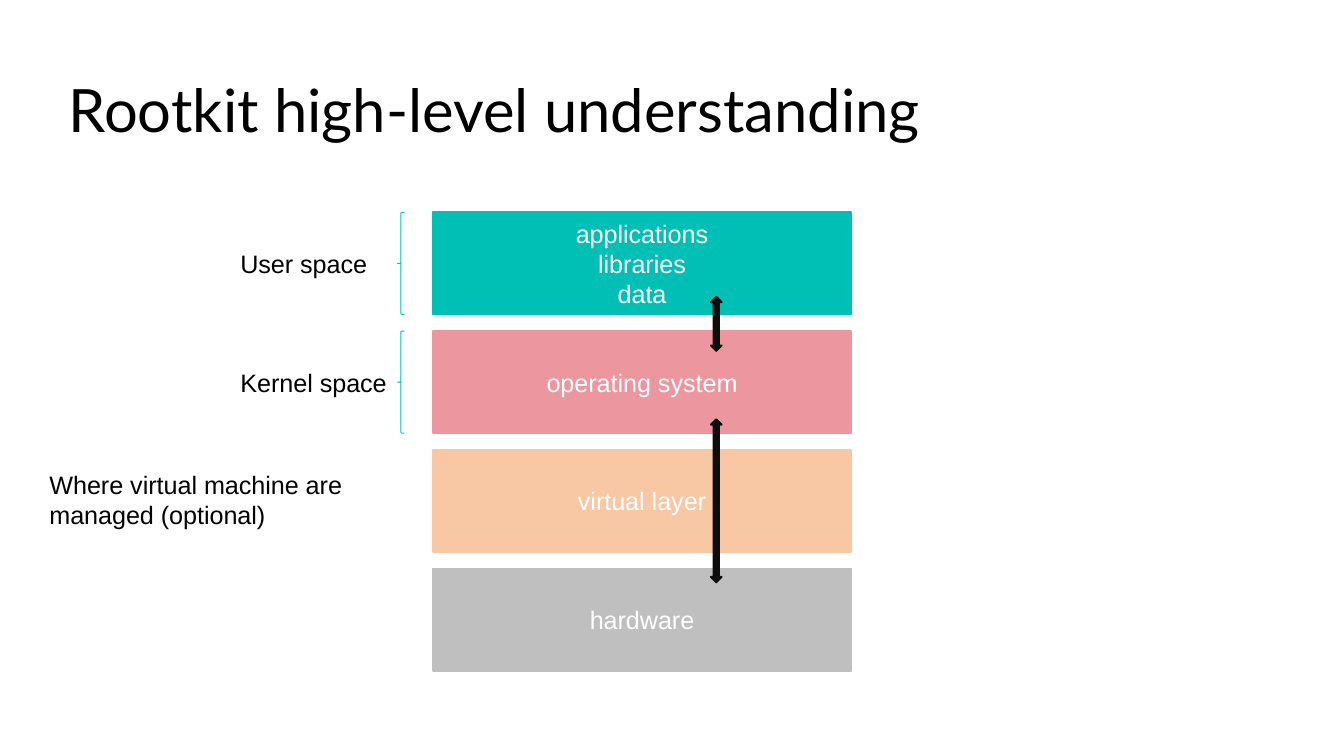
from pptx import Presentation
from pptx.dml.color import RGBColor
from pptx.enum.shapes import MSO_SHAPE
from pptx.enum.text import MSO_ANCHOR, MSO_AUTO_SIZE, PP_ALIGN
from pptx.util import Pt

TEAL, PINK, PEACH, GRAY = "00C0B5", "EC979F", "F8C7A3", "BFBFBF"
BLACK, NEAR_BLACK, WHITE = "000000", "0D0D0D", "FFFFFF"


def color(hex_string):
    return RGBColor.from_string(hex_string)


def write(frame, text, size=13.5, font="Arial", fill=BLACK, align=PP_ALIGN.LEFT,
          anchor=MSO_ANCHOR.TOP, wrap=True, auto_size=MSO_AUTO_SIZE.NONE,
          line_spacing=None):
    frame.word_wrap = wrap
    frame.auto_size = auto_size
    frame.vertical_anchor = anchor
    frame.text = text
    for paragraph in frame.paragraphs:
        paragraph.alignment = align
        paragraph.line_spacing = line_spacing
        paragraph.font.size = Pt(size)
        paragraph.font.name = font
        paragraph.font.color.rgb = color(fill)


class StackSlide:
    """Holds the slide and the measures shared by the layer stack."""
    layer_left, layer_top = 232, 113.8
    layer_width, layer_height, pitch = 224, 54.7, 63.6
    brace_left, brace_width = 213, 3.6
    arrow_left, arrow_width = 380.8, 5.8

    def __init__(self, presentation):
        self.slide = presentation.slides.add_slide(presentation.slide_layouts[5])

    def title(self, text, left, top, width, height):
        heading = self.slide.shapes.title
        heading.left, heading.top = Pt(left), Pt(top)
        heading.width, heading.height = Pt(width), Pt(height)
        write(heading.text_frame, text, size=32, font="Lato",
              anchor=MSO_ANCHOR.MIDDLE, line_spacing=0.9)

    def outline(self, preset, left, top, width, height, line, weight=1, fill=None):
        shape = self.slide.shapes.add_shape(
            preset, Pt(left), Pt(top), Pt(width), Pt(height))
        shape.shadow.inherit = False
        shape.line.color.rgb = color(line)
        shape.line.width = Pt(weight)
        if fill:
            shape.fill.solid()
            shape.fill.fore_color.rgb = color(fill)
        else:
            shape.fill.background()
        return shape

    def row_top(self, row):
        return self.layer_top + row * self.pitch

    def layer(self, row, text, fill):
        box = self.outline(MSO_SHAPE.RECTANGLE, self.layer_left, self.row_top(row),
                           self.layer_width, self.layer_height, fill, fill=fill)
        write(box.text_frame, text, fill=WHITE, align=PP_ALIGN.CENTER,
              anchor=MSO_ANCHOR.MIDDLE)

    def brace(self, row):
        self.outline(MSO_SHAPE.LEFT_BRACE, self.brace_left, self.row_top(row),
                     self.brace_width, self.layer_height, TEAL, weight=0.5)

    def arrow(self, top, height):
        self.outline(MSO_SHAPE.UP_DOWN_ARROW, self.arrow_left, top,
                     self.arrow_width, height, NEAR_BLACK, fill=NEAR_BLACK)

    def label(self, text, left, top, width, height, wrap=False):
        box = self.slide.shapes.add_textbox(Pt(left), Pt(top), Pt(width), Pt(height))
        write(box.text_frame, text, wrap=wrap,
              auto_size=MSO_AUTO_SIZE.SHAPE_TO_FIT_TEXT)


def main():
    presentation = Presentation()
    presentation.slide_width, presentation.slide_height = Pt(720), Pt(405)
    stack = StackSlide(presentation)
    stack.title("Rootkit high-level understanding", 29.5, 21.6, 661.7, 78.5)

    # Layers, from applications down to hardware
    layers = [("applications\nlibraries\ndata", TEAL), ("operating system", PINK),
              ("virtual layer", PEACH), ("hardware", GRAY)]
    for row, (text, fill) in enumerate(layers):
        stack.layer(row, text, fill)

    # Braced names of the upper two layers
    for row, (space, width) in enumerate([("User space", 83.5), ("Kernel space", 94.3)]):
        stack.brace(row)
        stack.label(space, 121.7, stack.row_top(row) + 15.8, width, 23.8)

    # Exchanges between layers
    stack.arrow(159, 29)
    stack.arrow(224.6, 87.4)

    # Note on the virtual layer
    stack.label("Where virtual machine are managed (optional)",
                19.4, 247.7, 229, 40.3, wrap=True)

    presentation.save("out.pptx")


if __name__ == "__main__":
    main()
